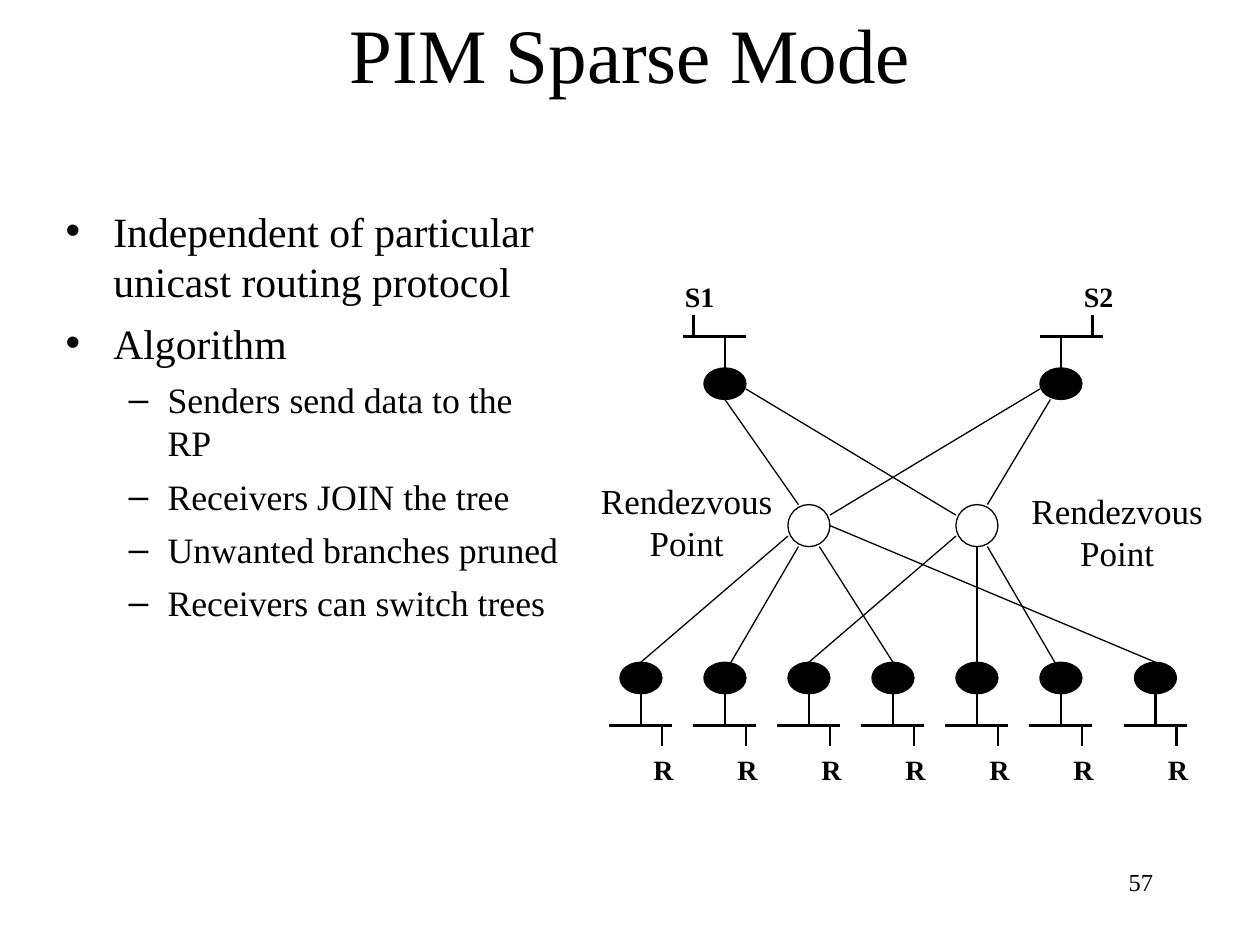
from dataclasses import dataclass

import pptx
import pptx.dml.color
import pptx.enum.shapes
import pptx.enum.text
import pptx.oxml.ns
import pptx.util
from lxml import etree
from pptx.util import Inches

ALIGN = pptx.enum.text.PP_ALIGN
ANCHOR = pptx.enum.text.MSO_ANCHOR
FIT = pptx.enum.text.MSO_AUTO_SIZE


@dataclass(frozen=True)
class Theme:
    face: str = "Times New Roman"
    ink: str = "000000"
    title: float = 44
    point: float = 23.8
    detail: float = 20.4
    label: float = 20
    host: float = 16
    page: float = 14
    thin: float = 0.75
    thick: float = 1.5


theme = Theme()


def ink():
    return pptx.dml.color.RGBColor.from_string(theme.ink)


def write(para, text, size, align=ALIGN.LEFT, bold=False):
    para.alignment = align
    run = para.add_run()
    run.text = text
    run.font.name = theme.face
    run.font.size = pptx.util.Pt(size)
    run.font.bold = bold
    run.font.color.rgb = ink()


def place(shape, box):
    shape.left, shape.top, shape.width, shape.height = map(Inches, box)


def title(slide, box, text):
    shape = slide.shapes.title
    place(shape, box)
    frame = shape.text_frame
    frame.auto_size = FIT.NONE
    frame.vertical_anchor = ANCHOR.MIDDLE
    write(frame.paragraphs[0], text, theme.title, ALIGN.CENTER)


def body(slide, box, items):
    shape = slide.placeholders[1]
    place(shape, box)
    frame = shape.text_frame
    frame.auto_size = FIT.NONE
    styles = (("•", 0.38, 0.38, 7, theme.point), ("–", 0.81, 0.31, 6, theme.detail))
    for i, (level, text) in enumerate(items):
        mark, left, hang, gap, size = styles[level]
        para = frame.add_paragraph() if i else frame.paragraphs[0]
        para.level = level
        props = para._p.get_or_add_pPr()
        props.set("marL", str(Inches(left)))
        props.set("indent", str(-Inches(hang)))
        etree.SubElement(props, pptx.oxml.ns.qn("a:buChar"), char=mark)
        para.space_before = pptx.util.Pt(gap if i else 0)
        write(para, text, size)


def note(shapes, box, lines, size, align=ALIGN.LEFT, bold=False, wrap=False):
    frame = shapes.add_textbox(*map(Inches, box)).text_frame
    frame.word_wrap = wrap
    frame.auto_size = FIT.NONE if wrap else FIT.SHAPE_TO_FIT_TEXT
    for i, text in enumerate(lines):
        para = frame.add_paragraph() if i else frame.paragraphs[0]
        write(para, text, size, align, bold)


def network(slide, box):
    shapes = slide.shapes.add_group_shape().shapes
    left, top, width, height = box
    cols, rows = 60, 50

    def spot(x, y):
        return left + x * width / cols, top + y * height / rows

    def line(x1, y1, x2, y2, weight=theme.thin):
        ends = map(Inches, spot(x1, y1) + spot(x2, y2))
        link = shapes.add_connector(pptx.enum.shapes.MSO_CONNECTOR.STRAIGHT, *ends)
        link.line.color.rgb = ink()
        link.line.width = pptx.util.Pt(weight)
        etree.SubElement(link._element.spPr, pptx.oxml.ns.qn("a:effectLst"))

    def node(x, y, tall, solid):
        size = (4 * width / cols, tall * height / rows)
        area = map(Inches, spot(x - 2, y) + size)
        oval = shapes.add_shape(pptx.enum.shapes.MSO_SHAPE.OVAL, *area)
        oval.shadow.inherit = False
        if solid:
            oval.fill.solid()
            oval.fill.fore_color.rgb = ink()
        else:
            oval.fill.background()
        oval.line.color.rgb = ink()
        oval.line.width = pptx.util.Pt(theme.thin)

    def host(x, y, bar, shift, stub, name, wide, texty):
        node(x, y, 3, True)
        way = 1 if bar > y else -1
        line(x, y + 3 if way > 0 else y, x, bar, theme.thick)
        line(x + shift - 3, bar, x + shift + 3, bar, theme.thick)
        line(x + stub, bar, x + stub, bar + 2 * way, theme.thick)
        area = spot(x + stub - 2, texty) + (wide, 0.37)
        note(shapes, area, [name], theme.host, bold=True)

    leaves = [5 + 8 * i for i in range(6)] + [54]
    for x in leaves:
        host(x, 37, 43, 0, 2, "R", 0.38, 45)
    for x, side, name in ((13, -1, "S1"), (45, 1, "S2")):
        host(x, 9, 6, side, 3 * side, name, 0.48, 0)
    for x in (21, 37):
        node(x, 22, 4, False)

    wires = (
        (23, 23, 43, 11), (44, 12, 38, 22), (15, 11, 35, 23), (13, 12, 20, 22),
        (19, 25, 5, 37), (20, 26, 13, 38), (22, 26, 29, 37), (23, 24, 54, 37),
        (35, 25, 21, 37), (37, 26, 37, 37), (38, 26, 45, 38),
    )
    for ends in wires:
        line(*ends)
    for x, y in ((0, 19), (41, 20)):
        area = spot(x, y) + (1.56, 0.77)
        note(shapes, area, ["Rendezvous", "Point"], theme.label, ALIGN.CENTER)


def main():
    deck = pptx.Presentation()
    deck.slide_width, deck.slide_height = Inches(10), Inches(7.5)
    slide = deck.slides.add_slide(deck.slide_layouts[1])
    title(slide, (0.75, 0, 8.5, 0.83), "PIM Sparse Mode")
    body(slide, (0.42, 1.58, 4.13, 4.5), (
        (0, "Independent of particular unicast routing protocol"),
        (0, "Algorithm"),
        (1, "Senders send data to the RP"),
        (1, "Receivers JOIN the tree"),
        (1, "Unwanted branches pruned"),
        (1, "Receivers can switch trees"),
    ))
    network(slide, (4.67, 2.17, 5, 4.17))
    note(slide.shapes, (7.17, 6.83, 2.08, 0.5), ["57"], theme.page, ALIGN.RIGHT, wrap=True)
    deck.save("out.pptx")


if __name__ == "__main__":
    main()
